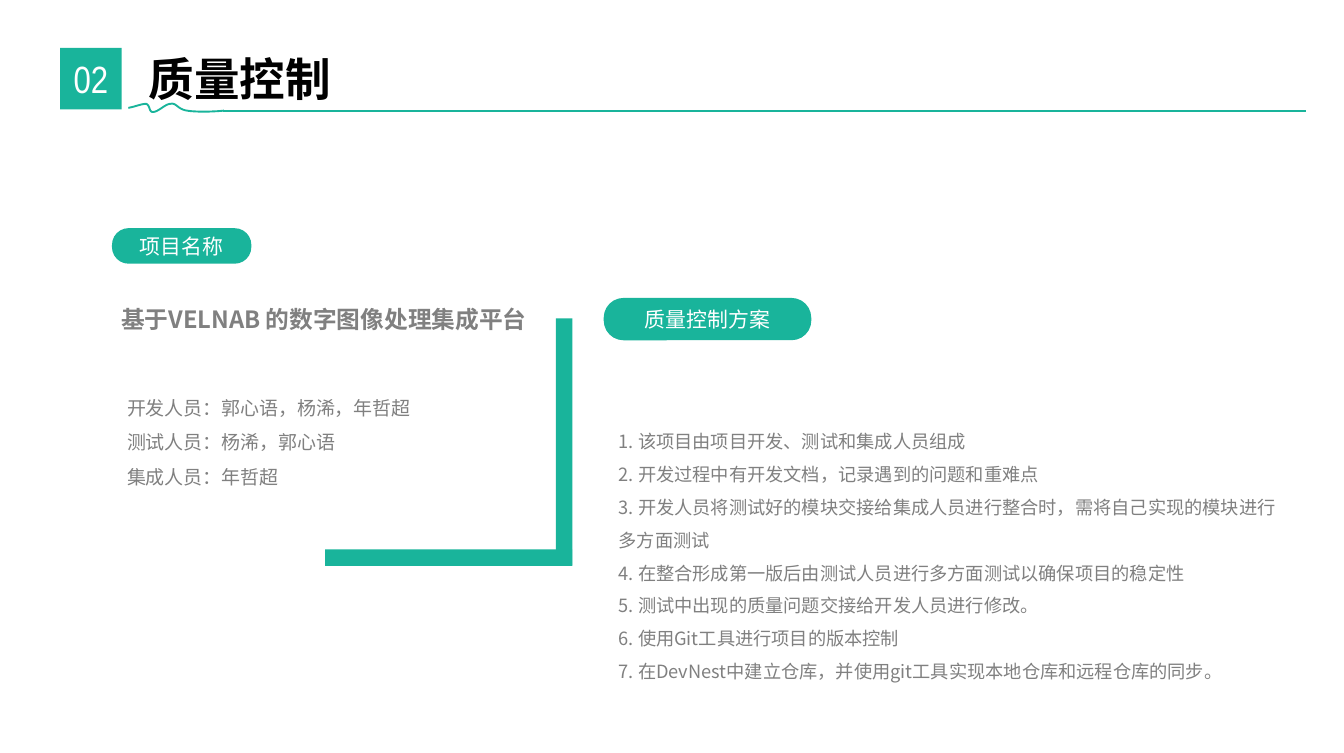
from lxml import etree
from pptx import Presentation
from pptx.dml.color import RGBColor
from pptx.enum.shapes import MSO_CONNECTOR, MSO_SHAPE
from pptx.enum.text import MSO_ANCHOR, PP_ALIGN
from pptx.oxml.ns import qn
from pptx.util import Inches, Pt

# Content
TITLE = "质量控制"
NUMBER = "02"
PROJECT = "基于VELNAB 的数字图像处理集成平台"
STAFF = [
    "开发人员：郭心语，杨浠，年哲超",
    "测试人员：杨浠，郭心语",
    "集成人员：年哲超",
]
RULES = [
    "该项目由项目开发、测试和集成人员组成",
    "开发过程中有开发文档，记录遇到的问题和重难点",
    "开发人员将测试好的模块交接给集成人员进行整合时，需将自己实现的模块进行 多方面测试",
    "在整合形成第一版后由测试人员进行多方面测试以确保项目的稳定性",
    "测试中出现的质量问题交接给开发人员进行修改。",
    "使用Git工具进行项目的版本控制",
    "在DevNest中建立仓库，并使用git工具实现本地仓库和远程仓库的同步。",
]
PILLS = [
    ("项目名称", (0.82, 1.67, 1.02, 0.26)),
    ("质量控制方案", (4.42, 2.18, 1.52, 0.31)),
]
# Start of the wave, then two control points and an end for each curve
START = (0.94, 0.79)
WAVE = [
    ((0.99, 0.78), (1.04, 0.76), (1.07, 0.76)),
    ((1.10, 0.77), (1.09, 0.82), (1.12, 0.82)),
    ((1.16, 0.82), (1.21, 0.76), (1.25, 0.76)),
    ((1.29, 0.75), (1.30, 0.80), (1.37, 0.81)),
    ((1.43, 0.82), (1.54, 0.82), (1.64, 0.81)),
]

# Style
GREEN = RGBColor(0x19, 0xB4, 0x9B)
GRAY = RGBColor(0x80, 0x80, 0x80)
WHITE = RGBColor(0xFF, 0xFF, 0xFF)
BLACK = RGBColor(0, 0, 0)
SANS = "Noto Sans CJK SC"
NARROW = "Arial Narrow"
BAR, LONG = 0.12, 1.81  # bracket thickness and arm length
STEPS = 12  # segments for each curve

deck = Presentation()
deck.slide_width, deck.slide_height = Inches(9.84), Inches(5.51)
slide = deck.slides.add_slide(deck.slide_layouts[5])
shapes = slide.shapes


def box(*sizes):
    return [Inches(size) for size in sizes]


def write(shape, lines, size, color, font=SANS, bold=False, inset=(0.1, 0.05),
          align=PP_ALIGN.LEFT, anchor=MSO_ANCHOR.TOP, wrap=True, gap=1.0):
    frame = shape.text_frame
    side, edge = box(*inset)
    form = {"word_wrap": wrap, "vertical_anchor": anchor,
            "margin_left": side, "margin_right": side,
            "margin_top": edge, "margin_bottom": edge}
    for key, value in form.items():
        setattr(frame, key, value)
    for i, line in enumerate(lines):
        para = frame.add_paragraph() if i else frame.paragraphs[0]
        para.alignment, para.line_spacing = align, gap
        run = para.add_run()
        run.text = line
        for key, value in {"size": Pt(size), "bold": bold, "name": font}.items():
            setattr(run.font, key, value)
        run.font.color.rgb = color
        asian = etree.SubElement(run.font._element, qn("a:ea"))
        asian.set("typeface", SANS)


def block(kind, place):
    shape = shapes.add_shape(kind, *box(*place))
    shape.shadow.inherit = False
    shape.fill.solid()
    shape.fill.fore_color.rgb = GREEN
    shape.line.fill.background()
    return shape


def text(place, lines, size, **form):
    write(shapes.add_textbox(*box(*place)), lines, size, GRAY, **form)


def stroke(shape):
    shape.line.color.rgb = GREEN
    shape.line.width = Pt(1)


def curve(start, one, two, end):
    for step in range(1, STEPS + 1):
        t = step / STEPS
        u = 1 - t
        yield tuple(Inches(u**3 * a + 3 * u * u * t * b + 3 * u * t * t * c + t**3 * d)
                    for a, b, c, d in zip(start, one, two, end))


# Header
title = shapes.title
title.left, title.top, title.width, title.height = box(0.99, 0.32, 2.97, 0.5)
write(title, [TITLE], 24, BLACK, font=NARROW, bold=True)
badge = block(MSO_SHAPE.RECTANGLE, (0.44, 0.35, 0.45, 0.45))
write(badge, [NUMBER], 20, WHITE, font=NARROW, inset=(0, 0), wrap=False,
      align=PP_ALIGN.CENTER, anchor=MSO_ANCHOR.MIDDLE)

# Header line: wave, then straight rule
points, last = [], START
for one, two, end in WAVE:
    points += curve(last, one, two, end)
    last = end
path = shapes.build_freeform(*box(*START))
path.add_line_segments(points, close=False)
wave = path.convert_to_shape()
wave.shadow.inherit = False
wave.fill.background()
stroke(wave)
rule = shapes.add_connector(MSO_CONNECTOR.STRAIGHT, *box(1.63, 0.81, 9.56, 0.81))
stroke(rule)
etree.SubElement(rule._element.spPr, qn("a:effectLst"))

# Section labels
for label, place in PILLS:
    pill = block(MSO_SHAPE.ROUNDED_RECTANGLE, place)
    pill.adjustments[0] = 0.468
    write(pill, [label], 11, WHITE, inset=(0, 0), wrap=False,
          align=PP_ALIGN.CENTER, anchor=MSO_ANCHOR.MIDDLE)

# Body text
tight = {"inset": (0.04, 0.02), "gap": 1.5}
text((0.79, 2.18, 3.36, 0.31), [PROJECT], 12.5, bold=True)
text((0.89, 2.8, 2.76, 0.77), STAFF, 10, **tight)
text((4.49, 3.05, 4.98, 2.18),
     [f"{i}. {line}" for i, line in enumerate(RULES, 1)], 9.6, **tight)

# Corner bracket
right, base = 4.19, 4.14
block(MSO_SHAPE.RECTANGLE, (right - LONG, base - BAR, LONG, BAR))
block(MSO_SHAPE.RECTANGLE, (right - BAR, base - LONG, BAR, LONG))

deck.save("out.pptx")
